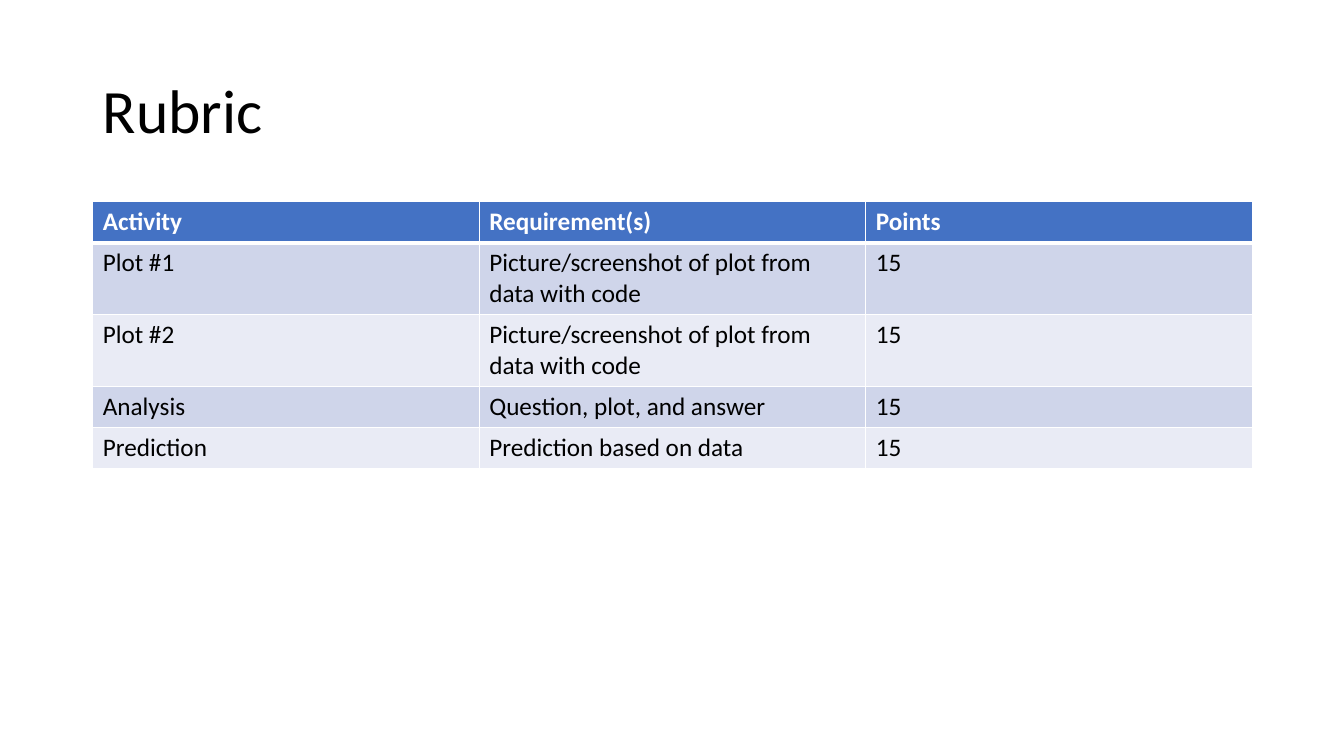
"""Build the rubric slide: a title above a banded table of activities and points."""
from typing import NamedTuple

from lxml import etree
from pptx import Presentation
from pptx import util as u
from pptx.dml.color import RGBColor
from pptx.enum import text
from pptx.oxml import ns
from pptx.table import _Cell
from pptx.text.text import _Paragraph

FONT = "Calibri"
BLACK = RGBColor(0x00, 0x00, 0x00)
WHITE = RGBColor(0xFF, 0xFF, 0xFF)
HEADER_BLUE = RGBColor(0x44, 0x72, 0xC4)
BAND_DARK = RGBColor(0xCF, 0xD5, 0xEA)
BAND_LIGHT = RGBColor(0xE9, 0xEB, 0xF5)

LEFT, WIDTH = u.Inches(0.92), u.Inches(11.5)
TABLE_TOP, ROW_HEIGHT = u.Inches(2), u.Inches(0.41)


class RubricRow(NamedTuple):
    activity: str
    requirement: str
    points: str


HEADER = RubricRow("Activity", "Requirement(s)", "Points")
ACTIVITIES = [
    RubricRow("Plot #1", "Picture/screenshot of plot from data with code", "15"),
    RubricRow("Plot #2", "Picture/screenshot of plot from data with code", "15"),
    RubricRow("Analysis", "Question, plot, and answer", "15"),
    RubricRow("Prediction", "Prediction based on data", "15"),
]


def add_run(paragraph: _Paragraph, words: str, size: float, color: RGBColor, bold: bool = False) -> None:
    run = paragraph.add_run()
    run.text = words
    run.font.name = FONT
    run.font.size = u.Pt(size)
    run.font.bold = bold
    run.font.color.rgb = color


def set_border(cell: _Cell, side: str, width: float) -> None:
    properties = cell._tc.get_or_add_tcPr()
    line = etree.SubElement(properties, ns.qn(f"a:ln{side}"), w=str(u.Pt(width)))
    fill = etree.SubElement(line, ns.qn("a:solidFill"))
    etree.SubElement(fill, ns.qn("a:srgbClr"), val=str(WHITE))


def add_title(slide, words: str) -> None:
    title = slide.shapes.title
    title.left, title.top = LEFT, u.Inches(0.4)
    title.width, title.height = WIDTH, u.Inches(1.45)
    title.text_frame.vertical_anchor = text.MSO_ANCHOR.MIDDLE
    paragraph = title.text_frame.paragraphs[0]
    paragraph.alignment = text.PP_ALIGN.LEFT
    paragraph.line_spacing = 0.9
    add_run(paragraph, words, 44, BLACK)


def add_rubric(slide, rows: list[RubricRow]) -> None:
    frame = slide.shapes.add_table(
        len(rows), len(HEADER), LEFT, TABLE_TOP, WIDTH, ROW_HEIGHT * len(rows)
    )
    for row_index, row in enumerate(rows):
        is_header = row_index == 0
        band = BAND_DARK if row_index % 2 else BAND_LIGHT
        widths = {
            "L": 1,
            "R": 1,
            "T": 3 if row_index == 1 else 1,
            "B": 3 if is_header else 1,
        }
        for column_index, words in enumerate(row):
            cell = frame.table.cell(row_index, column_index)
            for side, width in widths.items():
                set_border(cell, side, width)
            cell.fill.solid()
            cell.fill.fore_color.rgb = HEADER_BLUE if is_header else band
            color = WHITE if is_header else BLACK
            add_run(cell.text_frame.paragraphs[0], words, 18, color, is_header)


def main() -> None:
    presentation = Presentation()
    presentation.slide_width = u.Inches(13.33)
    presentation.slide_height = u.Inches(7.5)
    slide = presentation.slides.add_slide(presentation.slide_layouts.get_by_name("Title Only"))
    add_title(slide, "Rubric")
    add_rubric(slide, [HEADER, *ACTIVITIES])
    presentation.save("out.pptx")


if __name__ == "__main__":
    main()
